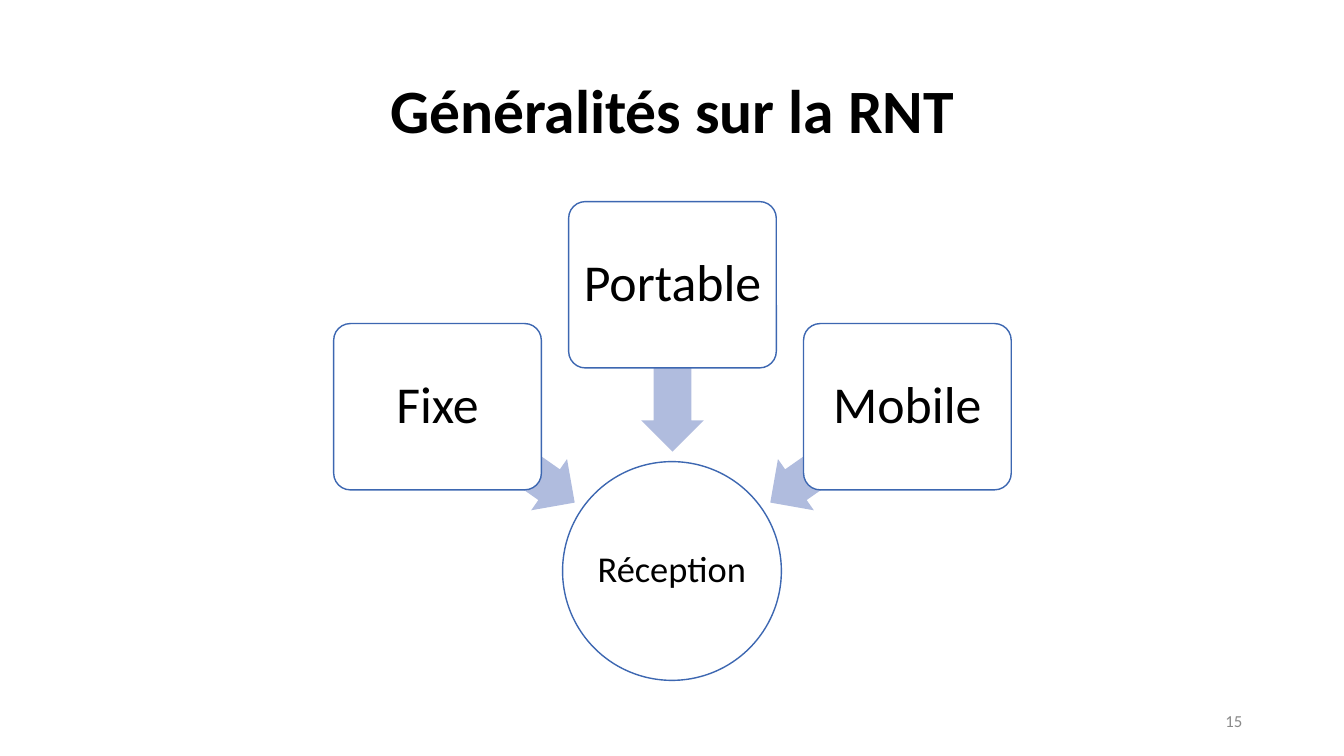
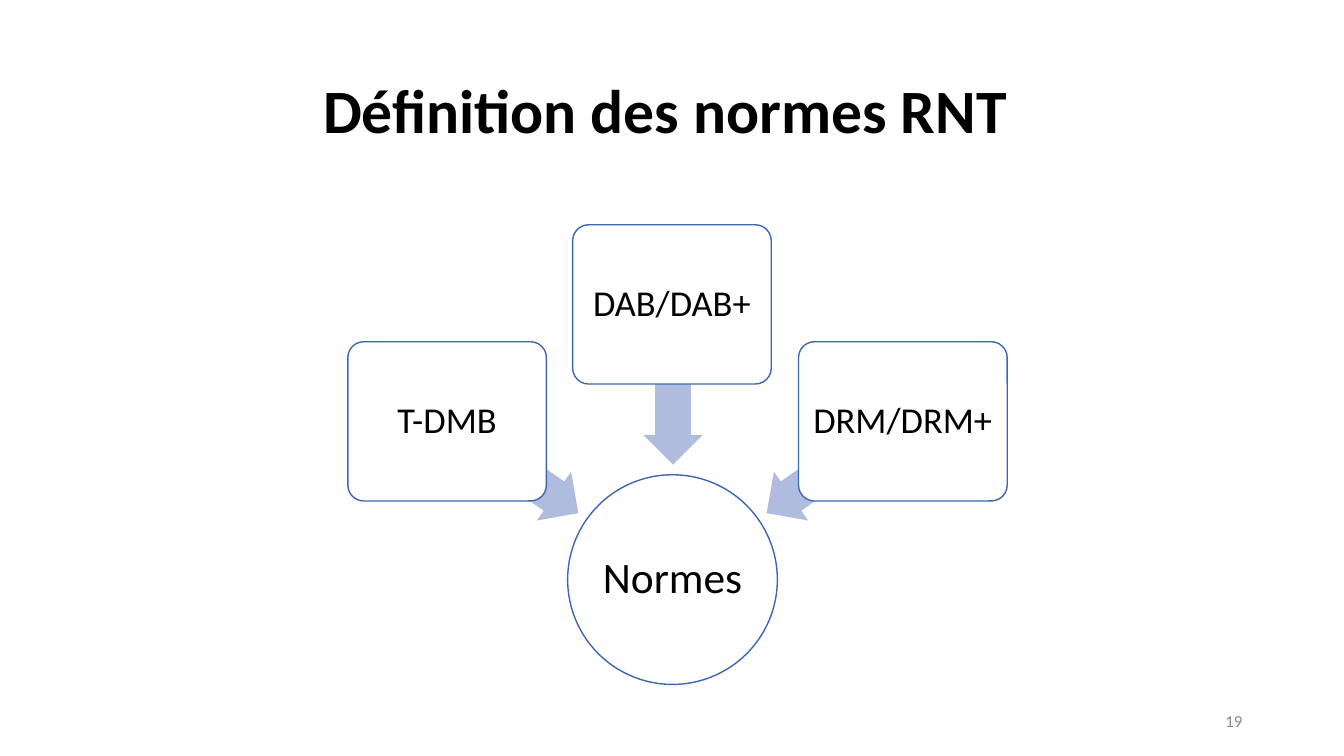
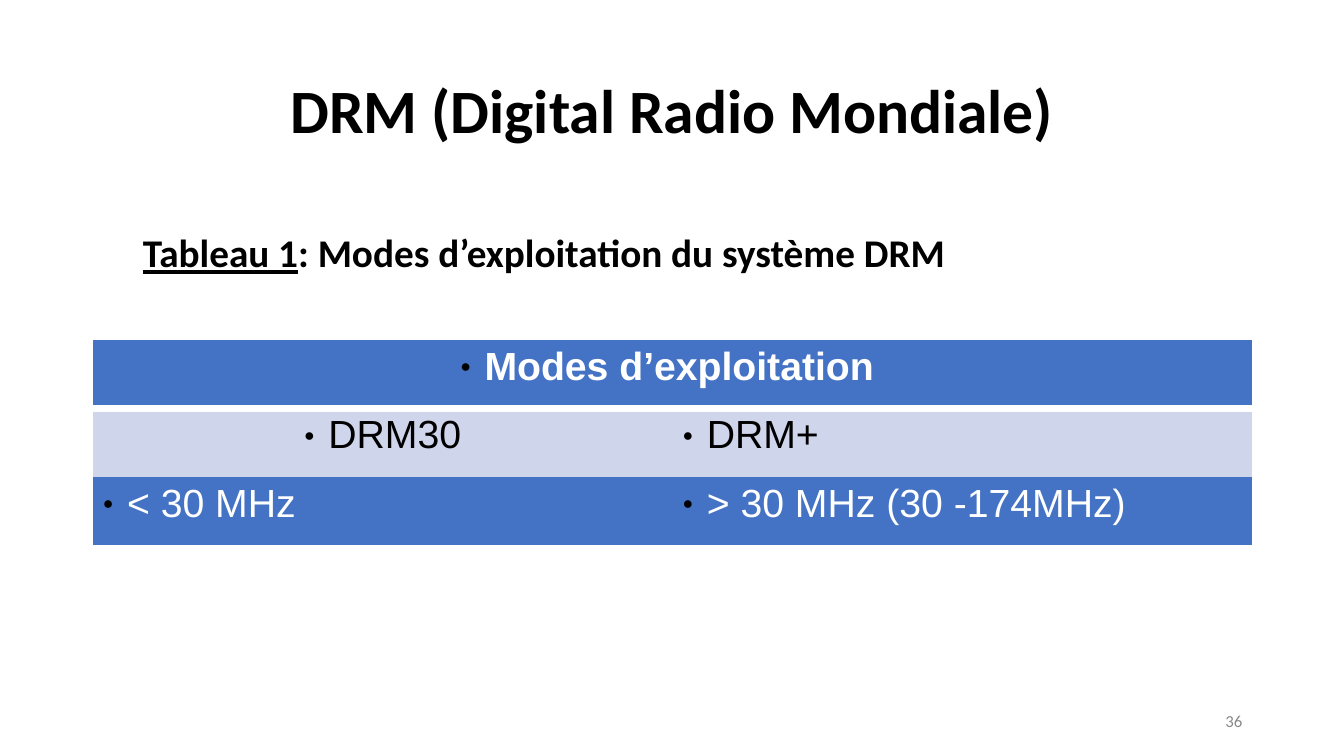
from dataclasses import dataclass
from math import cos, radians, sin

from lxml import etree
from pptx import Presentation
from pptx.dml.color import RGBColor
from pptx.enum.shapes import MSO_SHAPE
from pptx.enum.text import MSO_ANCHOR, MSO_AUTO_SIZE, PP_ALIGN
from pptx.oxml import parse_xml
from pptx.oxml.ns import nsdecls
from pptx.presentation import Presentation as Deck
from pptx.shapes.autoshape import Shape
from pptx.slide import Slide
from pptx.table import _Cell
from pptx.text.text import TextFrame, _Paragraph
from pptx.util import Emu, Pt

EMU_PER_PX = 9144  # 100 px to the inch
SLIDE_WIDTH, SLIDE_HEIGHT = 1333, 750
CENTER_X = 667

BLACK = RGBColor(0x00, 0x00, 0x00)
WHITE = RGBColor(0xFF, 0xFF, 0xFF)
GREY = RGBColor(0x89, 0x89, 0x89)
OUTLINE_BLUE = RGBColor(0x3D, 0x67, 0xB1)
ARROW_BLUE = RGBColor(0xB0, 0xBC, 0xDE)
TABLE_BLUE = RGBColor(0x44, 0x72, 0xC4)
TABLE_PALE = RGBColor(0xCF, 0xD5, 0xEA)

LEFT, CENTER, RIGHT = PP_ALIGN.LEFT, PP_ALIGN.CENTER, PP_ALIGN.RIGHT
TOP, MIDDLE = MSO_ANCHOR.TOP, MSO_ANCHOR.MIDDLE
FIT_SHAPE = MSO_AUTO_SIZE.SHAPE_TO_FIT_TEXT
OVAL, ROUNDED = MSO_SHAPE.OVAL, MSO_SHAPE.ROUNDED_RECTANGLE
LEFT_ARROW = MSO_SHAPE.LEFT_ARROW

BODY_FONT, TABLE_FONT = "Calibri", "Arial"
PLAIN_TABLE_STYLE = "{2D5ABB26-0587-4C30-8999-92F81FD0307C}"


@dataclass(frozen=True)
class Box:
    left: int
    top: int
    width: int
    height: int


@dataclass(frozen=True)
class TextStyle:
    size: int
    color: RGBColor = BLACK
    bold: bool = False
    underline: bool = False
    font: str = BODY_FONT


@dataclass(frozen=True)
class Spoke:
    label: str
    angle: int
    extra_width: int = 0


@dataclass(frozen=True)
class Hub:
    """A circle with boxes around it, each sending an arrow to the circle."""
    label: str
    label_size: int
    center_y: int
    diameter: int
    box_width: int
    box_height: int
    box_radius: int
    box_text_size: int
    arrow_length: int
    arrow_thickness: int
    arrow_radius: int
    spokes: tuple[Spoke, ...]


@dataclass(frozen=True)
class TableCell:
    text: str
    alignment: PP_ALIGN = LEFT


@dataclass(frozen=True)
class TableRow:
    fill: RGBColor
    style: TextStyle
    cells: tuple[TableCell, ...]


TITLE_BOX = Box(92, 40, 1150, 145)
NUMBER_BOX = Box(942, 695, 300, 40)
CAPTION_BOX = Box(132, 222, 834, 57)
TABLE_BOX = Box(92, 337, 1150, 204)

TITLE_STYLE = TextStyle(44, bold=True)
NUMBER_STYLE = TextStyle(12, GREY)
CAPTION_STYLE = TextStyle(28, bold=True)
CAPTION_LABEL_STYLE = TextStyle(28, bold=True, underline=True)

RECEPTION = Hub(
    "Réception", 26, center_y=567, diameter=217,
    box_width=206, box_height=165, box_radius=285, box_text_size=37,
    arrow_length=166, arrow_thickness=62, arrow_radius=202,
    spokes=(Spoke("Fixe", 145), Spoke("Portable", 90), Spoke("Mobile", 35)),
)
STANDARDS = Hub(
    "Normes", 31, center_y=575, diameter=208,
    box_width=197, box_height=158, box_radius=273, box_text_size=26,
    arrow_length=159, arrow_thickness=59, arrow_radius=194,
    spokes=(Spoke("T-DMB", 145), Spoke("DAB/DAB+", 90), Spoke("DRM/DRM+", 35, 10)),
)
MODE_ROWS = (
    TableRow(TABLE_BLUE, TextStyle(28, WHITE, bold=True, font=TABLE_FONT),
             (TableCell("Modes d’exploitation ", CENTER),)),
    TableRow(TABLE_PALE, TextStyle(28, font=TABLE_FONT),
             (TableCell("DRM30", CENTER), TableCell("DRM+"))),
    TableRow(TABLE_BLUE, TextStyle(28, WHITE, font=TABLE_FONT),
             (TableCell("< 30 MHz"), TableCell("> 30 MHz (30 -174MHz)"))),
)


def px(length: float) -> Emu:
    return Emu(round(length * EMU_PER_PX))


def place(box: Box) -> tuple[Emu, Emu, Emu, Emu]:
    return px(box.left), px(box.top), px(box.width), px(box.height)


def centered_box(x: float, y: float, width: int, height: int) -> Box:
    return Box(round(x - width / 2), round(y - height / 2), width, height)


def add_run(paragraph: _Paragraph, text: str, style: TextStyle) -> None:
    run = paragraph.add_run()
    run.text = text
    font = run.font
    font.name = style.font
    font.size = Pt(style.size)
    font.bold = style.bold
    font.underline = style.underline
    font.color.rgb = style.color


def add_text_box(slide: Slide, box: Box, alignment: PP_ALIGN, anchor: MSO_ANCHOR) -> TextFrame:
    frame = slide.shapes.add_textbox(*place(box)).text_frame
    frame.word_wrap = True
    frame.vertical_anchor = anchor
    frame.paragraphs[0].alignment = alignment
    return frame


def add_titled_slide(presentation: Deck, title: str, number: int) -> Slide:
    slide = presentation.slides.add_slide(presentation.slide_layouts[6])
    heading = add_text_box(slide, TITLE_BOX, CENTER, MIDDLE).paragraphs[0]
    heading.line_spacing = 0.9
    add_run(heading, title, TITLE_STYLE)
    footer = add_text_box(slide, NUMBER_BOX, RIGHT, MIDDLE).paragraphs[0]
    add_run(footer, str(number), NUMBER_STYLE)
    return slide


def add_filled_shape(slide: Slide, kind: MSO_SHAPE, box: Box, fill: RGBColor) -> Shape:
    shape = slide.shapes.add_shape(kind, *place(box))
    shape.shadow.inherit = False
    shape.fill.solid()
    shape.fill.fore_color.rgb = fill
    shape.line.fill.background()
    return shape


def add_node(slide: Slide, kind: MSO_SHAPE, box: Box, label: str, size: int, inset: int) -> Shape:
    """Add an outlined white shape with a centred label."""
    shape = add_filled_shape(slide, kind, box, WHITE)
    shape.line.color.rgb = OUTLINE_BLUE
    shape.line.width = Pt(1)
    frame = shape.text_frame
    frame.word_wrap = True
    frame.vertical_anchor = MIDDLE
    frame.margin_left = frame.margin_right = px(inset)
    frame.margin_top = frame.margin_bottom = px(inset)
    paragraph = frame.paragraphs[0]
    paragraph.alignment = CENTER
    paragraph.line_spacing = 0.9
    paragraph.space_after = Pt(round(size * 0.42))
    add_run(paragraph, label, TextStyle(size))
    return shape


def add_hub(slide: Slide, hub: Hub) -> None:
    circle_box = centered_box(CENTER_X, hub.center_y, hub.diameter, hub.diameter)
    add_node(slide, OVAL, circle_box, hub.label, hub.label_size, inset=2)
    for spoke in hub.spokes:
        across, up = cos(radians(spoke.angle)), sin(radians(spoke.angle))
        arrow_box = centered_box(
            CENTER_X + hub.arrow_radius * across, hub.center_y - hub.arrow_radius * up,
            hub.arrow_length, hub.arrow_thickness)
        arrow = add_filled_shape(slide, LEFT_ARROW, arrow_box, ARROW_BLUE)
        arrow.adjustments[0] = 0.6
        arrow.adjustments[1] = 0.5
        arrow.rotation = 360 - spoke.angle

        node_box = centered_box(
            CENTER_X + hub.box_radius * across + spoke.extra_width / 2,
            hub.center_y - hub.box_radius * up,
            hub.box_width + spoke.extra_width, hub.box_height)
        node = add_node(slide, ROUNDED, node_box, spoke.label, hub.box_text_size, inset=5)
        node.adjustments[0] = 0.1


def add_bullet(paragraph: _Paragraph) -> None:
    properties = paragraph._p.get_or_add_pPr()
    properties.set("marL", str(px(24)))
    properties.set("indent", str(px(-24)))
    for xml in (
        f'<a:buClr {nsdecls("a")}><a:srgbClr val="{BLACK}"/></a:buClr>',
        f'<a:buSzPct {nsdecls("a")} val="45000"/>',
        f'<a:buFont {nsdecls("a")} typeface="{TABLE_FONT}"/>',
        f'<a:buChar {nsdecls("a")} char="●"/>',
    ):
        properties.append(parse_xml(xml))


def add_bottom_border(cell: _Cell, color: RGBColor, width: int) -> None:
    border: etree._Element = parse_xml(
        f'<a:lnB {nsdecls("a")} w="{Pt(width)}"><a:solidFill>'
        f'<a:srgbClr val="{color}"/></a:solidFill></a:lnB>')
    cell._tc.get_or_add_tcPr().insert(0, border)


def add_mode_table(slide: Slide) -> None:
    column_count = 2
    graphic = slide.shapes.add_table(len(MODE_ROWS), column_count, *place(TABLE_BOX))
    graphic.element.xpath(".//a:tableStyleId")[0].text = PLAIN_TABLE_STYLE
    table = graphic.table
    table.first_row = table.horz_banding = False
    table.cell(0, 0).merge(table.cell(0, column_count - 1))
    for row_index, row in enumerate(MODE_ROWS):
        for column_index in range(column_count):
            cell = table.cell(row_index, column_index)
            cell.fill.solid()
            cell.fill.fore_color.rgb = row.fill
            if row_index == 0:
                add_bottom_border(cell, WHITE, 6)
        for column_index, content in enumerate(row.cells):
            cell = table.cell(row_index, column_index)
            cell.vertical_anchor = TOP
            paragraph = cell.text_frame.paragraphs[0]
            add_bullet(paragraph)
            paragraph.alignment = content.alignment
            add_run(paragraph, content.text, row.style)


def add_caption(slide: Slide) -> None:
    frame = add_text_box(slide, CAPTION_BOX, LEFT, TOP)
    frame.word_wrap = False
    frame.auto_size = FIT_SHAPE
    paragraph = frame.paragraphs[0]
    add_run(paragraph, "Tableau 1", CAPTION_LABEL_STYLE)
    add_run(paragraph, ": Modes d’exploitation du système DRM", CAPTION_STYLE)


def main() -> None:
    presentation = Presentation()
    presentation.slide_width = px(SLIDE_WIDTH)
    presentation.slide_height = px(SLIDE_HEIGHT)

    add_hub(add_titled_slide(presentation, "Généralités sur la RNT", 15), RECEPTION)
    add_hub(add_titled_slide(presentation, "Définition des normes RNT ", 19), STANDARDS)

    modes_slide = add_titled_slide(presentation, "DRM (Digital Radio Mondiale)", 36)
    add_mode_table(modes_slide)
    add_caption(modes_slide)

    presentation.save("out.pptx")


if __name__ == "__main__":
    main()
